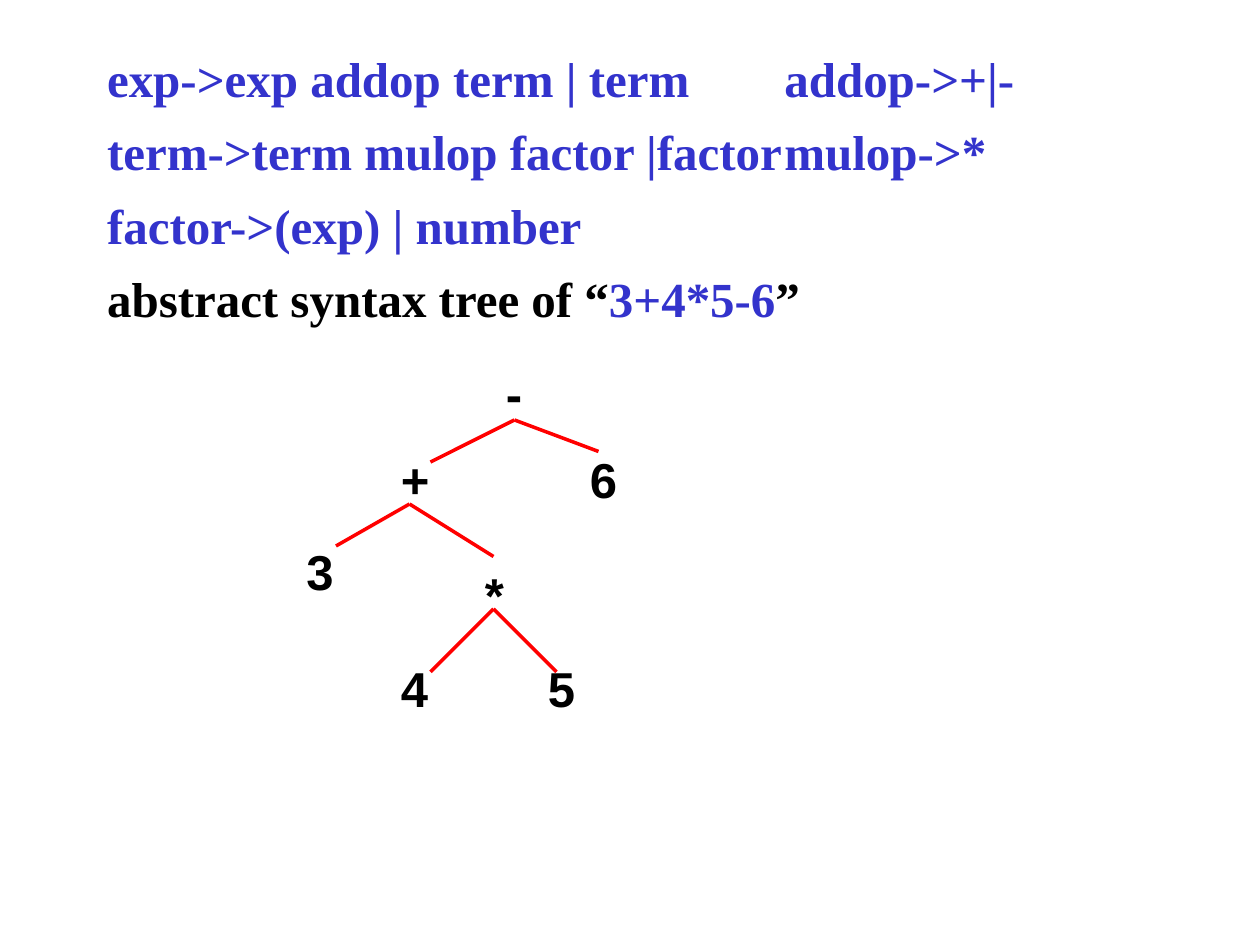
from dataclasses import dataclass

from pptx import Presentation
from pptx.dml.color import RGBColor
from pptx.enum import shapes, text
from pptx.oxml import xmlchemy as xml
from pptx.oxml.ns import qn
from pptx.util import Pt

BLUE, BLACK, RED = "3333CC", "000000", "FF0000"
SERIF, SANS = "Times New Roman", "Arial"
TAB_GAP, TAB_COUNT = 72, 8
HANGING = 27


@dataclass(frozen=True)
class Node:
    label: str
    left: float
    top: float


@dataclass(frozen=True)
class Fork:
    foot: tuple[float, float]
    ends: tuple[tuple[float, float], ...]


GRAMMAR = (
    (("exp->exp addop term | term\t\taddop->+|-", BLUE),),
    (("term->term mulop factor |factor\tmulop->*", BLUE),),
    (("factor->(exp) | number\t", BLUE),),
    (("abstract syntax tree of “", BLACK), ("3+4*5-6", BLUE), ("”", BLACK)),
)
NODES = (
    Node("-", 282, 204),
    Node("+", 222, 253.5),
    Node("6", 330, 253.5),
    Node("3", 168, 306),
    Node("*", 270, 319),
    Node("4", 222, 373),
    Node("5", 306, 373),
)
FORKS = (
    Fork((294, 240), ((246, 264), (342, 258))),
    Fork((234, 288), ((192, 312), (282, 318))),
    Fork((282, 348), ((246, 384), (318, 384))),
)


def color(value: str) -> RGBColor:
    return RGBColor.from_string(value)


def add_text(para, words: str, *, font: str, fill: str, size: float = 28, bold: bool = True) -> None:
    span = para.add_run()
    span.text = words
    span.font.name = font
    span.font.size = Pt(size)
    span.font.bold = bold
    span.font.color.rgb = color(fill)


def set_hanging_tabs(para) -> None:
    props = para._p.get_or_add_pPr()
    props.set("marL", str(Pt(HANGING)))
    props.set("indent", str(-Pt(HANGING)))
    props.append(xml.OxmlElement("a:buNone"))
    tabs = xml.OxmlElement("a:tabLst")
    for index in range(TAB_COUNT):
        tab = xml.OxmlElement("a:tab")
        tab.set("pos", str(Pt(TAB_GAP * index)))
        tab.set("algn", "l")
        tabs.append(tab)
    props.append(tabs)


def fill_grammar(box) -> None:
    box.left, box.top, box.width, box.height = Pt(54), Pt(24), Pt(612), Pt(174)
    frame = box.text_frame
    frame.auto_size = text.MSO_AUTO_SIZE.NONE
    frame.vertical_anchor = text.MSO_ANCHOR.TOP
    for index, line in enumerate(GRAMMAR):
        para = frame.add_paragraph() if index else frame.paragraphs[0]
        set_hanging_tabs(para)
        para.space_before = Pt(8.4 if index else 0)
        para.line_spacing = 1.0
        for words, fill in line:
            add_text(para, words, font=SERIF, fill=fill)


def draw_node(page, node: Node) -> None:
    box = page.shapes.add_textbox(Pt(node.left), Pt(node.top), Pt(36), Pt(41))
    box.text_frame.word_wrap = True
    add_text(box.text_frame.paragraphs[0], node.label, font=SANS, fill=BLACK)


def draw_fork(page, fork: Fork) -> None:
    for end in fork.ends:
        branch = page.shapes.add_connector(
            shapes.MSO_CONNECTOR.STRAIGHT, *map(Pt, fork.foot + end)
        )
        branch.line.color.rgb = color(RED)
        branch.line.width = Pt(2)
        branch._element.find(qn("p:spPr")).append(xml.OxmlElement("a:effectLst"))


def main() -> None:
    deck = Presentation()
    deck.slide_width, deck.slide_height = Pt(720), Pt(540)
    page = deck.slides.add_slide(deck.slide_layouts[1])
    heading = page.shapes.title._element
    heading.getparent().remove(heading)
    fill_grammar(page.placeholders[1])
    for node in NODES:
        draw_node(page, node)
    for fork in FORKS:
        draw_fork(page, fork)
    deck.save("out.pptx")


if __name__ == "__main__":
    main()
